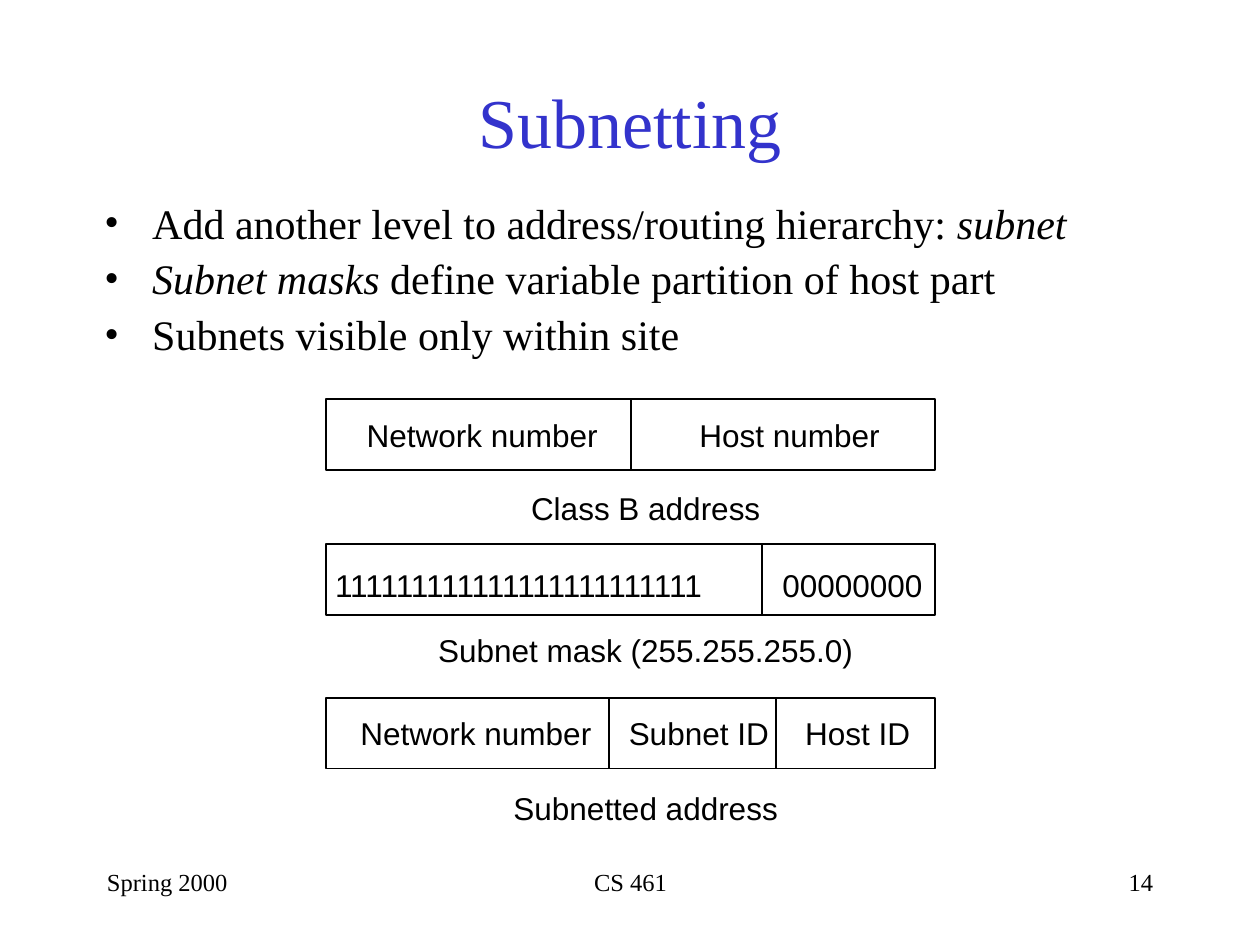
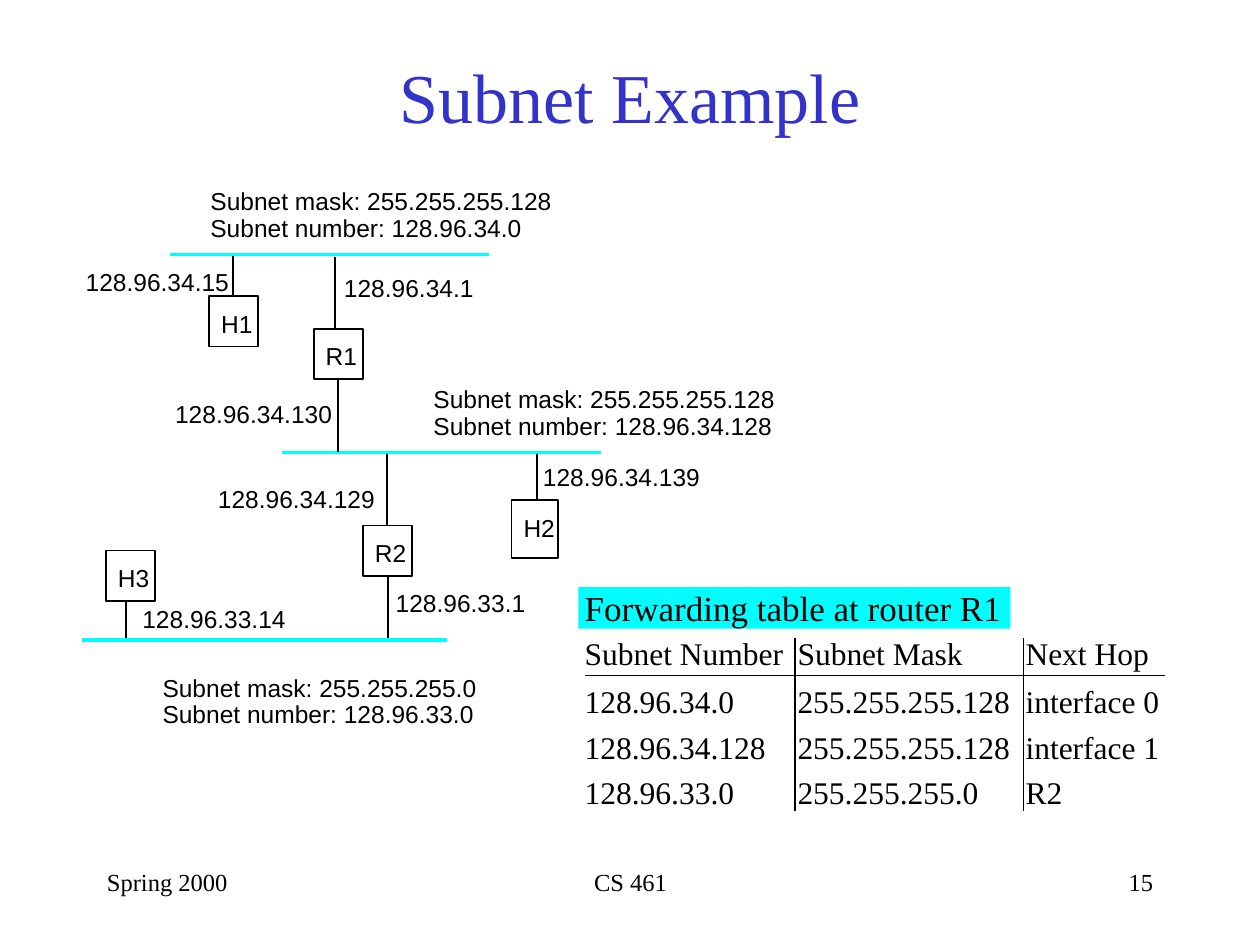
from collections import namedtuple
from lxml.etree import SubElement
from pptx import Presentation
from pptx.dml.color import RGBColor
from pptx.enum.shapes import MSO_CONNECTOR as Connector, MSO_SHAPE as Shape
from pptx.enum.text import MSO_ANCHOR as Anchor, PP_ALIGN as Align
from pptx.oxml.ns import qn
from pptx.util import Inches, Pt

SLIDE_W, SLIDE_H = Inches(10), Inches(7.5)
COLS, ROWS = 100, 75
SERIF, SANS = "Times New Roman", "Arial"
BLACK, BLUE, CYAN = "000000", "3333CC", "00FFFF"
PADDING = (0.1, 0.05, 0.1, 0.05)

Box = namedtuple("Box", "left top width height")


def color(code):
    return RGBColor.from_string(code)


def col(count):
    return round(SLIDE_W * count / COLS)


def row(count):
    return round(SLIDE_H * count / ROWS)


def place(box):
    return col(box.left), row(box.top), col(box.width), row(box.height)


def style(paragraph, size, font=SERIF, ink=BLACK, align=Align.LEFT):
    paragraph.alignment = align
    for run in paragraph.runs:
        run.font.size = Pt(size)
        run.font.name = font
        run.font.color.rgb = color(ink)


def set_frame(frame, padding, anchor=Anchor.TOP):
    frame.word_wrap = True
    frame.vertical_anchor = anchor
    (frame.margin_left, frame.margin_top,
     frame.margin_right, frame.margin_bottom) = map(Inches, padding)


def add_text(slide, box, text, size, font=SERIF, ink=BLACK, align=Align.LEFT,
             padding=PADDING, anchor=Anchor.TOP):
    frame = slide.shapes.add_textbox(*place(box)).text_frame
    set_frame(frame, padding, anchor)
    frame.text = text
    style(frame.paragraphs[0], size, font, ink, align)


def add_label(slide, left, top, text, size):
    box = Box(left, top, 0.08 * len(text) * size + 0.4, size / 6)
    add_text(slide, box, text, size, SANS, padding=(0, 0, 0, 0))


def add_line(slide, x1, y1, x2, y2, ink=BLACK, weight=1):
    line = slide.shapes.add_connector(
        Connector.STRAIGHT, col(x1), row(y1), col(x2), row(y2))
    line.line.color.rgb = color(ink)
    line.line.width = Pt(weight)
    SubElement(line._element.spPr, qn("a:effectLst"))


def add_box(slide, box, fill=None, weight=None):
    shape = slide.shapes.add_shape(Shape.RECTANGLE, *place(box))
    shape.shadow.inherit = False
    if fill:
        shape.fill.solid()
        shape.fill.fore_color.rgb = color(fill)
    else:
        shape.fill.background()
    if weight:
        shape.line.color.rgb = color(BLACK)
        shape.line.width = Pt(weight)
    else:
        shape.line.fill.background()
    return shape


def start_slide(deck, title, title_box, number):
    slide = deck.slides.add_slide(deck.slide_layouts[6])
    add_text(slide, title_box, title, 40, ink=BLUE, align=Align.CENTER,
             anchor=Anchor.MIDDLE)
    for text, left, width, align in (
            ("Spring 2000", 7.5, 20.8, Align.LEFT),
            ("CS 461", 34.2, 31.7, Align.CENTER),
            (str(number), 71.7, 20.8, Align.RIGHT)):
        add_text(slide, Box(left, 68.3, width, 5), text, 14, align=align)
    return slide


def add_bullets(slide, box, items):
    frame = slide.shapes.add_textbox(*place(box)).text_frame
    set_frame(frame, PADDING)
    for index, pieces in enumerate(items):
        paragraph = frame.paragraphs[0] if index == 0 else frame.add_paragraph()
        props = paragraph._p.get_or_add_pPr()
        props.set("marL", str(Inches(0.38)))
        props.set("indent", str(Inches(-0.38)))
        SubElement(props, qn("a:buFont")).set("typeface", SERIF)
        SubElement(props, qn("a:buChar")).set("char", "•")
        paragraph.line_spacing = 0.9
        paragraph.space_before = Pt(6 if index else 0)
        for text, italic in pieces:
            run = paragraph.add_run()
            run.text = text
            run.font.italic = italic
        style(paragraph, 24)


def add_address(slide, box, dividers, fields, field_top, caption, caption_gap):
    add_box(slide, box, weight=1.13)
    bottom = box.top + box.height
    for offset in dividers:
        x = box.left + offset
        add_line(slide, x, box.top, x, bottom, weight=1.13)
    for offset, text in fields:
        add_label(slide, box.left + offset, box.top + field_top, text, 18)
    caption_box = Box(box.left + 1.2, bottom + caption_gap, box.width, 3)
    add_text(slide, caption_box, caption, 18, SANS, align=Align.CENTER,
             padding=(0, 0, 0, 0))


def add_network(slide, box):
    subnets = (
        (7, 4.4, 25.3, 10.2, -1, "255.255.255.128", "128.96.34.0"),
        (15.9, 20.1, 25.3, 27.9, 14.7, "255.255.255.128", "128.96.34.128"),
        (0, 35, 29, 6.4, 37.6, "255.255.255.0", "128.96.33.0"))
    hosts = (("H1", 10.1, 7.7, 3.9, 4), ("R1", 18.4, 10.3, 3.9, 4),
             ("R2", 22.3, 25.9, 3.9, 4), ("H2", 34.1, 23.9, 3.7, 4.6),
             ("H3", 1.9, 27.9, 3.9, 4))
    links = ((12, 4.5, 7.7), (20.1, 4.6, 10.3), (20.3, 14.3, 20.1),
             (24.2, 20.2, 25.9), (36.1, 20.2, 23.9), (24.3, 29.9, 34.8),
             (3.5, 31.9, 34.8))
    addresses = ((0.3, 5.4, "128.96.34.15"), (20.8, 5.9, "128.96.34.1"),
                 (7.4, 15.9, "128.96.34.130"), (10.8, 22.6, "128.96.34.129"),
                 (36.6, 20.9, "128.96.34.139"), (24.9, 30.9, "128.96.33.1"),
                 (4.8, 32.1, "128.96.33.14"))
    left, top = box.left, box.top
    for x, y, width, text_x, text_y, mask, number in subnets:
        add_line(slide, left + x, top + y, left + x + width, top + y, CYAN, 1.87)
        for index, text in enumerate((f"Subnet mask: {mask}",
                                      f"Subnet number: {number}")):
            add_label(slide, left + text_x, top + text_y + 2.1 * index, text, 14)
    for x, start, end in links:
        add_line(slide, left + x, top + start, left + x, top + end)
    for name, x, y, width, height in hosts:
        add_box(slide, Box(left + x, top + y, width, height), weight=1)
        add_label(slide, left + x + 0.95, top + y + 1, name, 14)
    for x, y, text in addresses:
        add_label(slide, left + x, top + y, text, 14)


def rule_cell(cell, sides):
    props = cell._tc.get_or_add_tcPr()
    for side in ("lnL", "lnR", "lnT", "lnB"):
        edge = SubElement(props, qn(f"a:{side}"), w=str(Pt(0.75)))
        if side in sides:
            fill = SubElement(edge, qn("a:solidFill"))
            SubElement(fill, qn("a:srgbClr"), val=BLACK)
        else:
            SubElement(edge, qn("a:noFill"))


def add_forwarding_table(slide, box, heading, rows):
    banner = add_box(slide, Box(box.left - 0.5, box.top, 34.3, 3.3), CYAN)
    set_frame(banner.text_frame, (0.05, 0, 0, 0), Anchor.MIDDLE)
    banner.text_frame.text = heading
    style(banner.text_frame.paragraphs[0], 20)

    grid = Box(box.left, box.top + 4, box.width, box.height - 4)
    table = slide.shapes.add_table(len(rows), len(rows[0]), *place(grid)).table
    table.first_row = table.horz_banding = False
    for column, width in zip(table.columns, (16.7, 18.1, box.width - 34.8)):
        column.width = col(width)
    for r, values in enumerate(rows):
        table.rows[r].height = row(3.6 if r else 3)
        for c, value in enumerate(values):
            cell = table.cell(r, c)
            cell.text = value
            cell.margin_left = Inches(0.02 if c else 0)
            cell.margin_top = cell.margin_right = cell.margin_bottom = 0
            cell.vertical_anchor = Anchor.BOTTOM if r else Anchor.TOP
            style(cell.text_frame.paragraphs[0], 18)
            sides = {"lnL"} if c else set()
            if c < len(values) - 1:
                sides.add("lnR")
            if r < 2:
                sides.add("lnT" if r else "lnB")
            rule_cell(cell, sides)
            cell.fill.background()


def build_subnetting(deck):
    slide = start_slide(deck, "Subnetting", Box(7.5, 3.3, 85, 12.5), 14)
    add_bullets(slide, Box(7.3, 15.6, 85, 45), (
        (("Add another level to address/routing hierarchy: ", False),
         ("subnet", True)),
        (("Subnet masks ", True),
         ("define variable partition of host part", False)),
        (("Subnets visible only within site", False),)))
    addresses = (
        (31.7, (24.2,), ((3.2, "Network number"), (29.6, "Host number")), 1.3,
         "Class B address", 1.5),
        (43.2, (34.6,), ((0.7, "1" * 24), (36.2, "0" * 8)), 1.7,
         "Subnet mask (255.255.255.0)", 1.3),
        (55.4, (22.4, 35.7),
         ((2.7, "Network number"), (24, "Subnet ID"), (38, "Host ID")), 1.3,
         "Subnetted address", 1.6))
    for top, *parts in addresses:
        add_address(slide, Box(25.9, top, 48.3, 5.6), *parts)


def build_example(deck):
    slide = start_slide(deck, "Subnet Example", Box(7.5, 2.6, 85, 9.9), 15)
    add_network(slide, Box(6.5, 15.8, 55, 42))
    add_forwarding_table(
        slide, Box(46.4, 46.6, 46.1, 17.8), "Forwarding table at router R1",
        (("Subnet Number", "Subnet Mask", "Next Hop"),
         ("128.96.34.0", "255.255.255.128", "interface 0"),
         ("128.96.34.128", "255.255.255.128", "interface 1"),
         ("128.96.33.0", "255.255.255.0", "R2")))


def main():
    deck = Presentation()
    deck.slide_width, deck.slide_height = SLIDE_W, SLIDE_H
    build_subnetting(deck)
    build_example(deck)
    deck.save("out.pptx")


if __name__ == "__main__":
    main()
